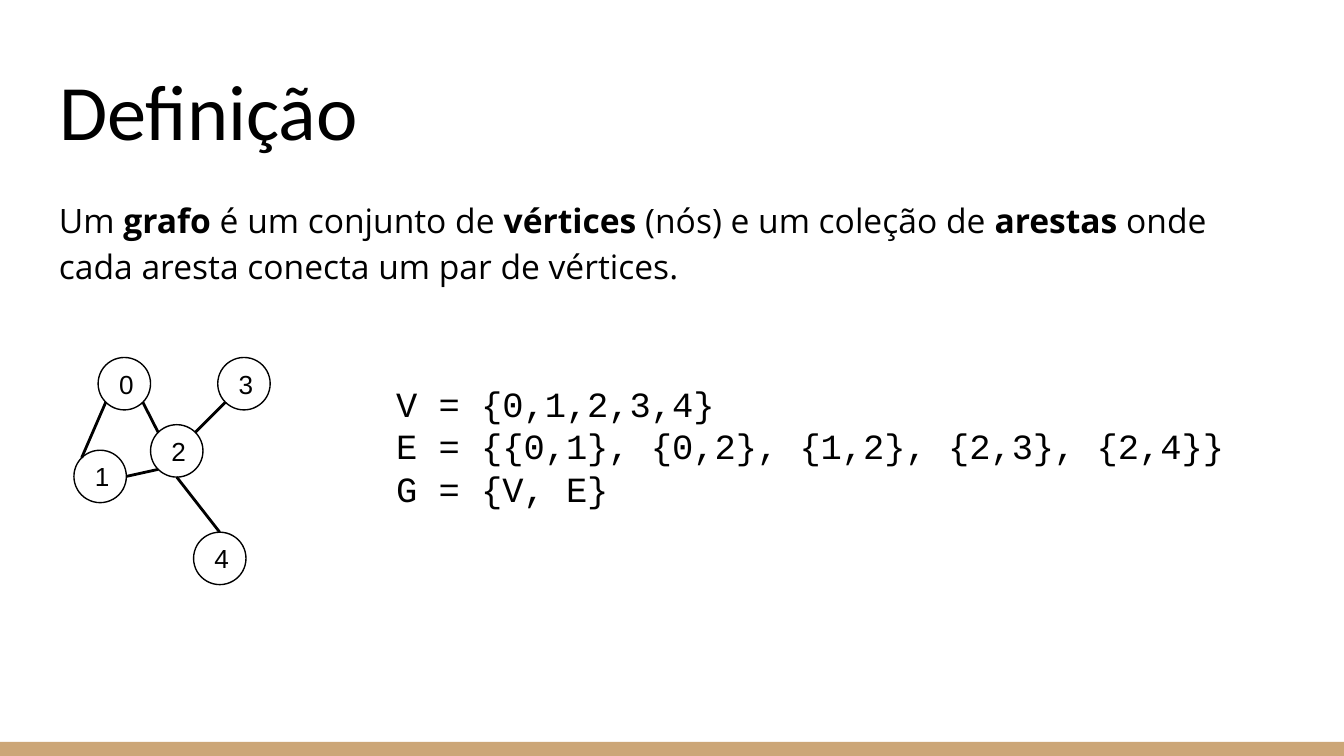
from dataclasses import dataclass
from math import cos, pi, sin

from lxml import etree
from pptx import Presentation
from pptx.dml.color import RGBColor
from pptx.enum.shapes import MSO_CONNECTOR, MSO_SHAPE
from pptx.enum.text import MSO_ANCHOR, MSO_AUTO_SIZE, PP_ALIGN
from pptx.oxml.ns import qn
from pptx.util import Inches, Pt

LEFT, CENTER = PP_ALIGN.LEFT, PP_ALIGN.CENTER
TOP, MIDDLE, BOTTOM = MSO_ANCHOR.TOP, MSO_ANCHOR.MIDDLE, MSO_ANCHOR.BOTTOM
NO_FIT = MSO_AUTO_SIZE.NONE
OVAL, RECT = MSO_SHAPE.OVAL, MSO_SHAPE.RECTANGLE
STRAIGHT = MSO_CONNECTOR.STRAIGHT
TITLE_ONLY = 5


@dataclass(frozen=True)
class Theme:
    """Colours and (font, size) pairs of the slide."""
    ink: RGBColor = RGBColor(0x00, 0x00, 0x00)
    page: RGBColor = RGBColor(0xFF, 0xFF, 0xFF)
    bar: RGBColor = RGBColor(0xCC, 0xA6, 0x77)
    title: tuple = ("Calibri", 42)
    body: tuple = ("Open Sans", 18)
    node: tuple = ("Arial", 14)
    code: tuple = ("Courier New", 19)


THEME = Theme()
SIZE = 0.39
NODES = [(0.73, 2.66), (0.55, 3.35), (1.12, 3.16), (1.62, 2.66), (1.44, 3.96)]
EDGES = [(0, 5, 2, 1), (1, 6, 2, 3), (2, 7, 3, 3), (2, 4, 4, 0), (0, 3, 1, 1)]
INTRO = [
    ("Um ", False), ("grafo", True), (" é um conjunto de ", False),
    ("vértices", True), (" (nós) e um coleção de ", False), ("arestas", True),
    (" onde cada aresta conecta um par de vértices.", False),
]
SETS = [
    "V = {0,1,2,3,4}",
    "E = {{0,1}, {0,2}, {1,2}, {2,3}, {2,4}}",
    "G = {V, E}",
]


def style(frame, look, anchor=TOP, align=LEFT):
    """Format a text frame and all of its runs."""
    frame.word_wrap = True
    frame.auto_size = NO_FIT
    frame.vertical_anchor = anchor
    frame.margin_left = frame.margin_right = Inches(0.1)
    frame.margin_top = frame.margin_bottom = Inches(0.1)
    for para in frame.paragraphs:
        para.alignment = align
        for run in para.runs:
            run.font.name, run.font.size = look[0], Pt(look[1])
            run.font.color.rgb = THEME.ink


def add_title(slide, text):
    """Place and fill the title."""
    title = slide.shapes.title
    title.left, title.top = Inches(0.34), Inches(0.35)
    title.width, title.height = Inches(9.32), Inches(0.91)
    title.text_frame.text = text
    style(title.text_frame, THEME.title, BOTTOM)


def add_box(slide, *area):
    """Return the text frame of a new text box."""
    return slide.shapes.add_textbox(*map(Inches, area)).text_frame


def add_intro(slide):
    """Write the definition with its bold terms."""
    frame = add_box(slide, 0.34, 1.34, 9.32, 0.91)
    para = frame.paragraphs[0]
    para.line_spacing, para.space_after = 1.15, Pt(12)
    for text, bold in INTRO:
        run = para.add_run()
        run.text, run.font.bold = text, bold
    style(frame, THEME.body)


def add_sets(slide):
    """Write the sets of the graph, one on each line."""
    frame = add_box(slide, 2.85, 2.74, 6.74, 1.15)
    frame.text = "\n".join(SETS)
    style(frame, THEME.code)


def add_bar(slide):
    """Draw the band along the foot of the slide."""
    bar = slide.shapes.add_shape(RECT, 0, Inches(5.52), Inches(10), Inches(0.11))
    bar.shadow.inherit = False
    bar.fill.solid()
    bar.fill.fore_color.rgb = THEME.bar
    bar.line.fill.background()


def add_node(slide, name, left, top):
    """Draw a vertex as a circle with its number."""
    node = slide.shapes.add_shape(
        OVAL, Inches(left), Inches(top), Inches(SIZE), Inches(SIZE))
    node.shadow.inherit = False
    node.fill.background()
    node.line.color.rgb, node.line.width = THEME.ink, Pt(0.75)
    node.text_frame.text = name
    style(node.text_frame, THEME.node, MIDDLE, CENTER)


def rim(node, site):
    """Return a point on a circle, in eighths counted leftward from the top."""
    left, top = NODES[node]
    half, turn = SIZE / 2, site * pi / 4
    return Inches(left + half - half * sin(turn)), Inches(top + half - half * cos(turn))


def add_edge(slide, start, out, end, into):
    """Join two vertices at the given sites."""
    edge = slide.shapes.add_connector(STRAIGHT, *rim(start, out), *rim(end, into))
    edge.line.color.rgb, edge.line.width = THEME.ink, Pt(1.5)
    etree.SubElement(edge.element.spPr, qn("a:effectLst"))


def main():
    """Build and save the slide."""
    deck = Presentation()
    deck.slide_width = Inches(10)
    deck.slide_height = deck.slide_width * 9 // 16
    slide = deck.slides.add_slide(deck.slide_layouts[TITLE_ONLY])
    slide.background.fill.solid()
    slide.background.fill.fore_color.rgb = THEME.page
    add_bar(slide)
    add_title(slide, "Definição")
    add_intro(slide)
    for index, place in enumerate(NODES):
        add_node(slide, str(index), *place)
    for edge in EDGES:
        add_edge(slide, *edge)
    add_sets(slide)
    deck.save("out.pptx")


if __name__ == "__main__":
    main()
